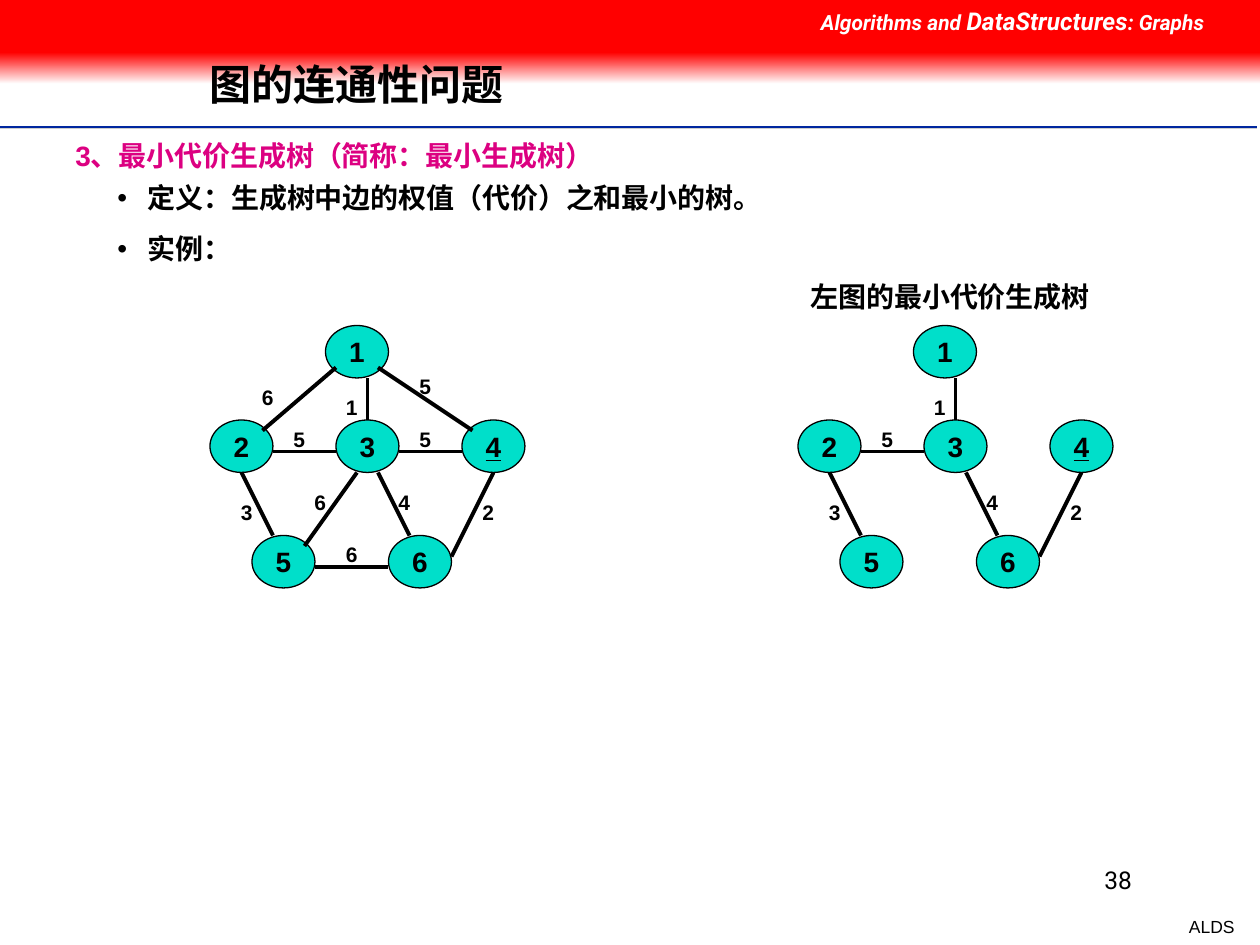
import pptx
import pptx.util
import pptx.dml.color
import pptx.enum.shapes
import pptx.enum.text
import pptx.oxml.ns
import lxml.etree

SCALE = 9525  # EMU per px, 96 px to the inch
COLORS = {"black": "000000", "white": "FFFFFF", "red": "FF0000",
          "pink": "DC0081", "teal": "00DFCA", "blue": "00279F",
          "gray": "CECECE"}
ALIGN = pptx.enum.text.PP_ALIGN
ANCHOR = pptx.enum.text.MSO_ANCHOR
SHAPE = pptx.enum.shapes.MSO_SHAPE

# Nodes: name -> left, top
NODES = {"1": (248, 248), "2": (160, 320), "3": (256, 320),
         "4": (352, 320), "5": (192, 408), "6": (296, 408)}
# Edges: line ends, weight, left and top of the weight, in the tree or not
EDGES = [
    ((208, 344, 256, 344), "5", (208, 320), True),
    ((304, 344, 352, 344), "5", (304, 320), False),
    ((280, 288, 280, 320), "1", (248, 296), True),
    ((184, 360, 208, 408), "3", (168, 376), True),
    ((232, 416, 272, 360), "6", (224, 368), False),
    ((288, 360, 312, 408), "4", (288, 368), True),
    ((344, 424, 376, 360), "2", (352, 376), True),
    ((240, 432, 296, 432), "6", (248, 408), False),
    ((200, 328, 256, 280), "6", (184, 288), False),
    ((360, 328, 288, 280), "5", (304, 280), False),
]
TREE_SHIFT = 448


def px(*nums):
    return [pptx.util.Emu(n * SCALE) for n in nums]


def rgb(name):
    return pptx.dml.color.RGBColor.from_string(COLORS[name])


class Deck:
    def __init__(self, wide, high):
        self.prs = pptx.Presentation()
        self.prs.slide_width, self.prs.slide_height = px(wide, high)
        self.slide = self.prs.slides.add_slide(self.prs.slide_layouts[5])
        self.shapes = self.slide.shapes

    def style(self, par, size, color="black", bold=True, align=ALIGN.LEFT,
              face="Arial"):
        par.alignment = align
        for run in par.runs:
            font = run.font
            font.size, font.name = pptx.util.Pt(size), face
            font.bold, font.color.rgb = bold, rgb(color)

    def title(self, text, box, size):
        item = self.shapes.title
        item.left, item.top, item.width, item.height = px(*box)
        frame = item.text_frame
        frame.text = text
        frame.vertical_anchor = ANCHOR.MIDDLE
        frame.auto_size = pptx.enum.text.MSO_AUTO_SIZE.NONE
        frame.paragraphs[0].line_spacing = 0.9
        self.style(frame.paragraphs[0], size)
        self.shapes._spTree.append(item._element)  # in front of the banner

    def text(self, text, box, size, wrap=True, **look):
        frame = self.shapes.add_textbox(*px(*box)).text_frame
        frame.word_wrap = wrap
        frame.text = text
        for par in frame.paragraphs:
            self.style(par, size, **look)
        return frame

    def mixed(self, parts, box, **look):
        frame = self.text("", box, 12)
        par = frame.paragraphs[0]
        for words, size in parts:
            par.add_run().text = words
        self.style(par, 12, **look)
        for run, (words, size) in zip(par.runs, parts):
            run.font.size = pptx.util.Pt(size)
            run.font.italic = True

    def indent(self, par, left, hang=0, mark=None):
        props = par._p.get_or_add_pPr()
        props.set("marL", str(left * SCALE))
        props.set("indent", str(-hang * SCALE))
        if mark:
            for tag, key, value in (("a:buFont", "typeface", "Arial"),
                                    ("a:buChar", "char", mark)):
                name = pptx.oxml.ns.qn(tag)
                lxml.etree.SubElement(props, name).set(key, value)

    def bullets(self, lines, box, size):
        frame = self.text("\n".join(lines), box, size)
        for num, par in enumerate(frame.paragraphs):
            self.indent(par, 23, 23, "•")
            if num:
                par.space_before = pptx.util.Pt(10)

    def shape(self, kind, box, fill):
        item = self.shapes.add_shape(kind, *px(*box))
        item.shadow.inherit = False
        item.fill.solid()
        item.fill.fore_color.rgb = rgb(fill)
        item.line.fill.background()
        return item

    def fade(self, box, *ends):
        fill = self.shape(SHAPE.RECTANGLE, box, ends[0]).fill
        fill.gradient()
        fill.gradient_angle = 270
        for stop, color, place in zip(fill.gradient_stops, ends, (0, 1)):
            stop.color.rgb = rgb(color)
            stop.position = place

    def line(self, ends, color, width):
        kind = pptx.enum.shapes.MSO_CONNECTOR.STRAIGHT
        item = self.shapes.add_connector(kind, *px(*ends))
        item.line.color.rgb = rgb(color)
        item.line.width = pptx.util.Pt(width)
        tag = pptx.oxml.ns.qn("a:effectLst")
        lxml.etree.SubElement(item._element.spPr, tag)

    def node(self, name, left, top):
        item = self.shape(SHAPE.OVAL, (left, top, 48, 40), "teal")
        item.line.color.rgb = rgb("black")
        item.line.width = pptx.util.Pt(0.75)
        frame = item.text_frame
        frame.word_wrap = False
        frame.vertical_anchor = ANCHOR.MIDDLE
        frame.text = name
        par = frame.paragraphs[0]
        self.style(par, 16, align=ALIGN.CENTER)
        if name == "4":
            par.runs[0].font.underline = True

    def graph(self, edges, shift=0):
        for name, (left, top) in NODES.items():
            self.node(name, left + shift, top)
        for (x1, y1, x2, y2), *rest in edges:
            self.line((x1 + shift, y1, x2 + shift, y2), "black", 2.25)
        for ends, weight, (left, top), kept in edges:
            self.text(weight, (left + shift, top, 40, 29), 12,
                      align=ALIGN.CENTER)


def main():
    deck = Deck(960, 720)

    # Rule below the title
    for y, color, width in ((97, "gray", 2), (97, "blue", 1),
                            (99, "white", 1)):
        deck.line((0, y, 958, y), color, width)

    # Banner, footer and title
    deck.fade((0, 40, 960, 24), "red", "white")
    deck.shape(SHAPE.RECTANGLE, (0, 0, 960, 40), "red")
    deck.mixed([("Algorithms and ", 12), ("DataStructures", 14),
                (": Graphs", 12)], (616, 0, 344, 33),
               color="white", face="Roboto")
    deck.text("ALDS", (890, 693, 60, 26), 10, bold=False,
              align=ALIGN.RIGHT)
    deck.text("38", (688, 654, 184, 48), 14, bold=False,
              align=ALIGN.RIGHT, face="Roboto")
    deck.title("图的连通性问题", (150, 31, 725, 71), 24)

    # Definition
    head = deck.text("3、最小代价生成树（简称：最小生成树）",
                     (0, 101, 467, 36), 16, wrap=False, color="pink")
    deck.indent(head.paragraphs[0], 48)
    deck.bullets(["定义：生成树中边的权值（代价）之和最小的树。", "实例："],
                 (80, 133, 512, 74), 16)

    # Graph and its minimum spanning tree
    deck.graph(EDGES)
    deck.graph([edge for edge in EDGES if edge[3]], TREE_SHIFT)
    deck.text("左图的最小代价生成树", (568, 208, 312, 36), 16,
              align=ALIGN.CENTER)

    deck.prs.save("out.pptx")


if __name__ == "__main__":
    main()
